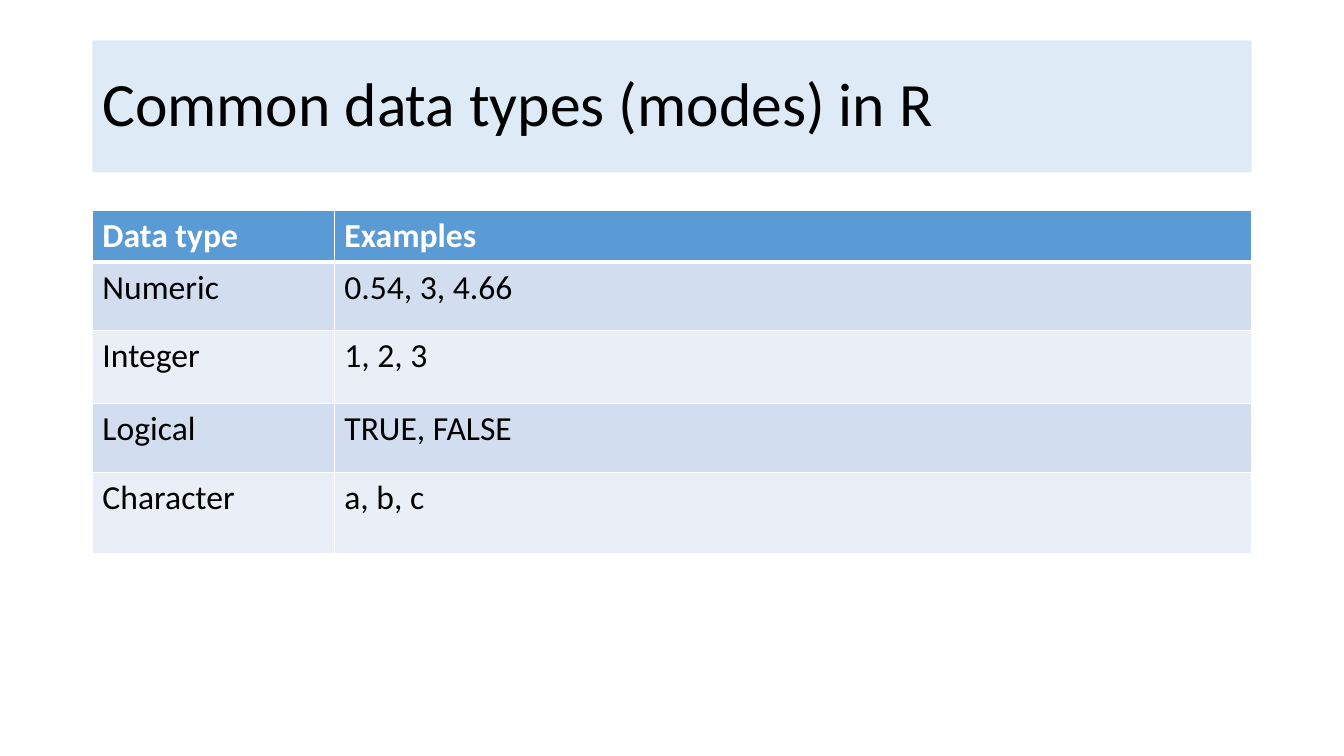
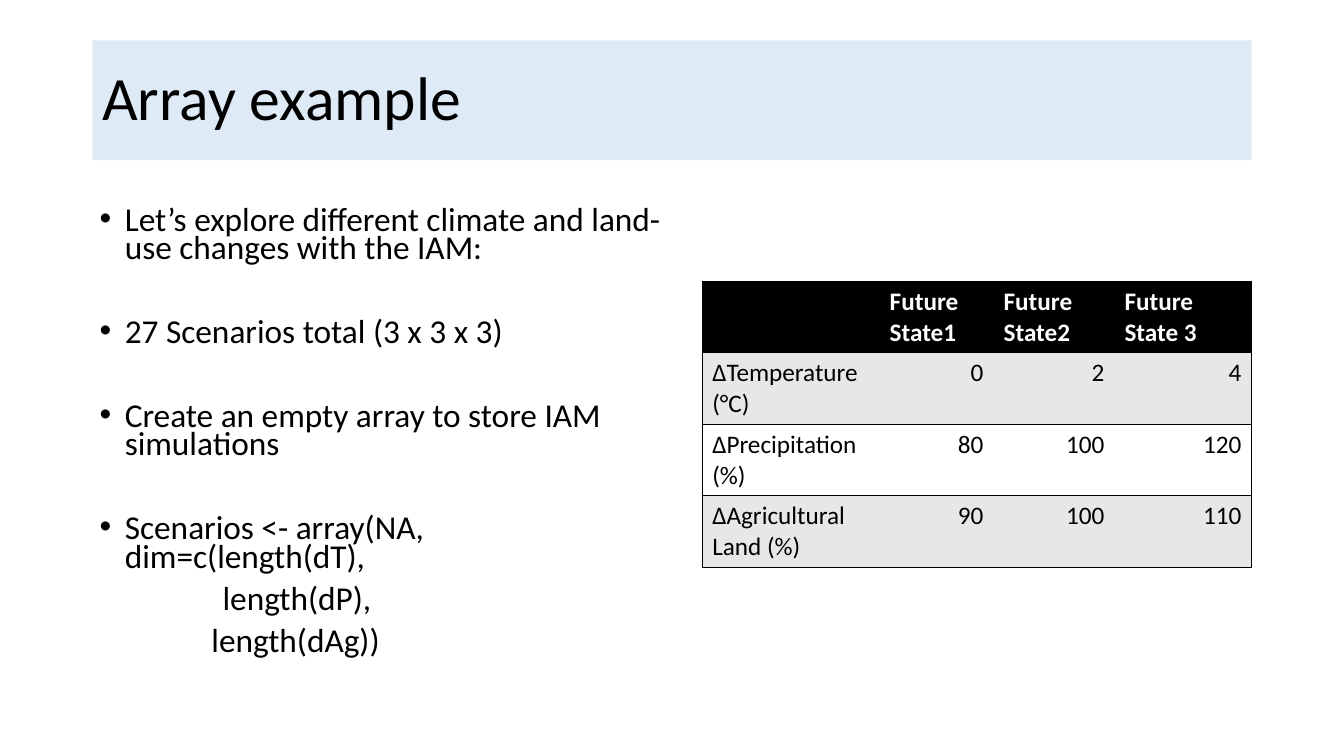
from collections import namedtuple
from dataclasses import dataclass

from lxml.etree import SubElement as Sub
from pptx import Presentation
from pptx.dml.color import RGBColor as RGB
from pptx.enum.shapes import MSO_SHAPE as Shape
from pptx.enum.text import MSO_ANCHOR as Anchor, PP_ALIGN as Align
from pptx.oxml.ns import qn
from pptx.util import Inches, Pt

WIDE, HIGH = Inches(13.33), Inches(7.5)
COLS, ROWS = 80, 45
LEFT, SPAN, TOP = 5.5, 69, 2.4

Look = namedtuple("Look", "head bands line under inner")


@dataclass(frozen=True)
class Theme:
    font: str = "Calibri"
    ink: str = "000000"
    pale: str = "FFFFFF"
    band: str = "DEEBF7"
    title: float = 44
    body: float = 23.8
    large: float = 24
    small: float = 18
    blue: Look = Look("5B9BD5", ("D2DEEF", "EAEFF7"), "FFFFFF", 3, True)
    dark: Look = Look("000000", ("E7E7E7", "FFFFFF"), "000000", 1, False)


THEME = Theme()


class Box(namedtuple("Box", "x y w h")):
    def place(self):
        unit, step = WIDE / COLS, HIGH / ROWS
        return [int(n) for n in (self.x * unit, self.y * step,
                                 self.w * unit, self.h * step)]


def style(para, size, color=THEME.ink, bold=False):
    for run in para.runs:
        font = run.font
        font.name, font.size, font.bold = THEME.font, Pt(size), bold
        font.color.rgb = RGB.from_string(color)


def title(slide, box, text):
    bar = slide.shapes.add_shape(Shape.RECTANGLE, *box.place())
    bar.shadow.inherit = False
    bar.fill.solid()
    bar.fill.fore_color.rgb = RGB.from_string(THEME.band)
    bar.line.fill.background()
    frame = bar.text_frame
    frame.text, frame.vertical_anchor = text, Anchor.MIDDLE
    para = frame.paragraphs[0]
    para.alignment, para.line_spacing = Align.LEFT, 0.9
    style(para, THEME.title)


def edge(cell, side, width, color):
    line = Sub(cell._tc.get_or_add_tcPr(), qn(f"a:ln{side}"), w=str(Pt(width)))
    if width:
        fill = Sub(line, qn("a:solidFill"))
        Sub(fill, qn("a:srgbClr"), val=color)
    else:
        Sub(line, qn("a:noFill"))


def paint(cell, look, row, col, last):
    left = 1 if look.inner or col == 0 else 0
    right = 1 if look.inner or col == last else 0
    top = look.under if row == 1 else 1
    base = look.under if row == 0 else 1
    for side, width in zip("LRTB", (left, right, top, base)):
        edge(cell, side, width, look.line)
    cell.fill.solid()
    color = look.bands[(row - 1) % 2] if row else look.head
    cell.fill.fore_color.rgb = RGB.from_string(color)


def table(slide, box, data, look, size, wide, high, side=Align.LEFT):
    place = box.place()
    grid = slide.shapes.add_table(len(data), len(wide), *place).table
    grid.first_row = grid.horz_banding = False
    for part, share in zip(grid.columns, wide):
        part.width = int(place[2] * share / sum(wide))
    for part, share in zip(grid.rows, high):
        part.height = int(place[3] * share / sum(high))
    for row, line in enumerate(data):
        for col, text in enumerate(line):
            cell = grid.cell(row, col)
            cell.text = text
            para = cell.text_frame.paragraphs[0]
            para.alignment = side if row and col else Align.LEFT
            style(para, size, THEME.ink if row else THEME.pale, not row)
            paint(cell, look, row, col, len(wide) - 1)


def points(slide, box, items, tail):
    frame = slide.shapes.add_textbox(*box.place()).text_frame
    frame.word_wrap = True
    lines = [(text, 0.25, True) for text in items]
    lines += [(text, dent, False) for text, dent in tail]
    frame.text = "\n".join(text for text, _, _ in lines)
    for pos, (para, (_, dent, dot)) in enumerate(zip(frame.paragraphs, lines)):
        para.line_spacing = 0.7
        para.space_before = Pt(40 if dot and pos else 10)
        props = para._p.get_or_add_pPr()
        props.set("marL", str(Inches(dent)))
        if dot:
            props.set("indent", str(Inches(-dent)))
            Sub(props, qn("a:buFont"), typeface="Arial")
            Sub(props, qn("a:buChar"), char="•")
        style(para, THEME.body)


def types(slide):
    title(slide, Box(LEFT, TOP, SPAN, 7.86), "Common data types (modes) in R")
    data = [("Data type", "Examples"),
            ("Numeric", "0.54, 3, 4.66"),
            ("Integer", "1, 2, 3"),
            ("Logical", "TRUE, FALSE"),
            ("Character", "a, b, c")]
    table(slide, Box(LEFT, 12.54, SPAN, 20.4), data, THEME.blue, THEME.large,
          (2.4, 9.1), (0.51, 0.68, 0.72, 0.69, 0.8))


def array(slide):
    title(slide, Box(LEFT, TOP, SPAN, 7.14), "Array example")
    items = ["Let’s explore different climate and land-use changes with the IAM:",
             "27 Scenarios total (3 x 3 x 3)",
             "Create an empty array to store IAM simulations",
             "Scenarios <- array(NA, dim=c(length(dT),"]
    tail = [("length(dP),", 1.22), ("length(dAg))", 1.11)]
    points(slide, Box(5.34, 12.18, 34.62, 28.56), items, tail)
    data = [("", "Future State1", "Future State2", "Future State 3"),
            ("ΔTemperature (°C)", "0", "2", "4"),
            ("ΔPrecipitation (%)", "80", "100", "120"),
            ("ΔAgricultural Land (%)", "90", "100", "110")]
    table(slide, Box(41.8, 16.74, 32.7, 17.04), data, THEME.dark, THEME.small,
          (1.76, 1.13, 1.2, 1.36), (1, 1, 1, 1), Align.RIGHT)


def main():
    deck = Presentation()
    deck.slide_width, deck.slide_height = WIDE, HIGH
    for build in (types, array):
        build(deck.slides.add_slide(deck.slide_layouts[6]))
    deck.save("out.pptx")


if __name__ == "__main__":
    main()
